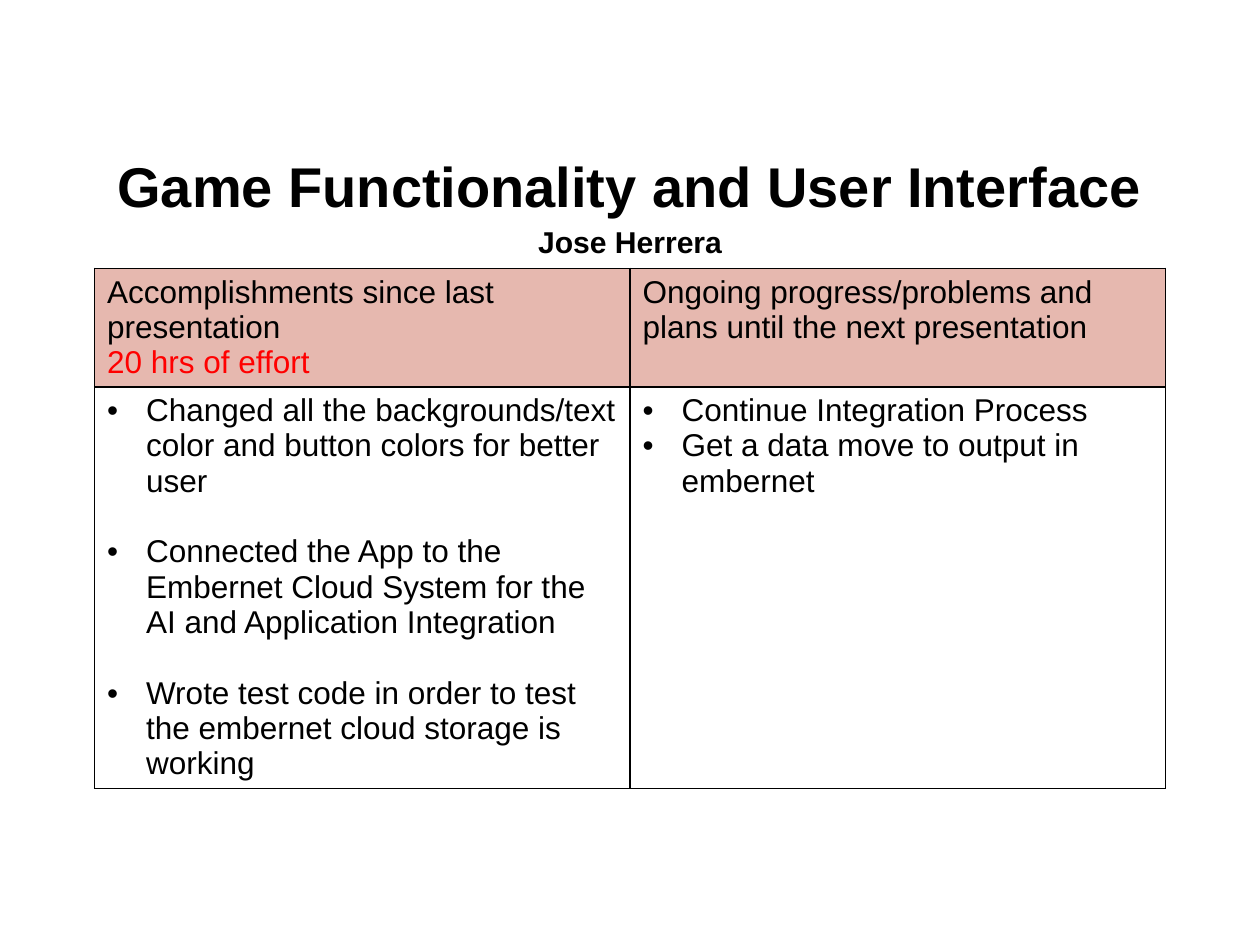
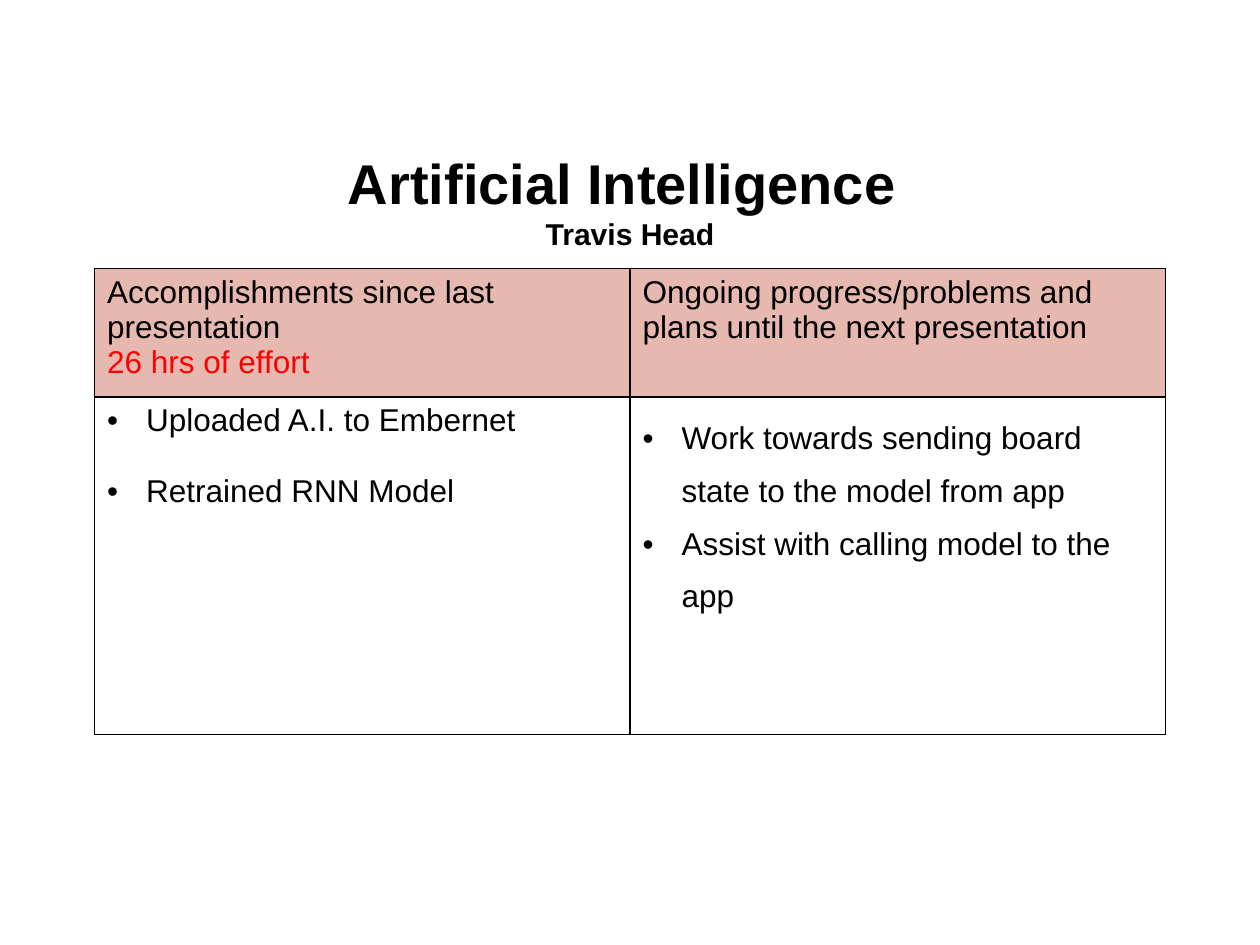
"""Build two progress report slides, each with a two-column status table."""
from lxml.etree import SubElement
from pptx import Presentation
from pptx.dml.color import RGBColor
from pptx.enum.text import MSO_ANCHOR as Anchor, MSO_AUTO_SIZE as AutoSize, PP_ALIGN as Align
from pptx.oxml.ns import qn
from pptx.util import Inches, Pt

COLORS = {"ink": "000000", "effort": "FF0000", "header": "E6B8AF"}
FONT = "Arial"
BODY_SIZE = 18
BLANK_LINE = 20.2
INDENT = Inches(0.31)

REPORTS = [
    {
        "topic": "Game Functionality and User Interface",
        "member": "Jose Herrera",
        "title_spacing": 1.15,
        "hours": 20,
        "row_heights": [0.94, 3.19],
        "done": [
            "Changed all the backgrounds/text color and button colors for better user",
            "Connected the App to the Embernet Cloud System for the AI and Application Integration",
            "Wrote test code in order to test the embernet cloud storage is working",
        ],
        "plans": ["Continue Integration Process", "Get a data move to output in embernet"],
        "plan_spacing": 1.0,
    },
    {
        "topic": "Artificial Intelligence ",
        "member": "Travis Head",
        "title_spacing": 1.0,
        "hours": 26,
        "row_heights": [1.02, 2.68],
        "done": ["Uploaded A.I. to Embernet", "Retrained RNN Model"],
        "plans": [
            "Work towards sending board state to the model from app",
            "Assist with calling model to the app",
        ],
        "plan_spacing": 1.5,
    },
]


def add_line(frame, index, text, size=BODY_SIZE, color="ink", bold=False):
    para = frame.add_paragraph() if index else frame.paragraphs[0]
    span = para.add_run()
    span.text = text
    span.font.name = FONT
    span.font.size = Pt(size)
    span.font.bold = bold
    span.font.color.rgb = RGBColor.from_string(COLORS[color])
    return para


def add_bullets(frame, items, gap, spacing):
    for index, item in enumerate(items):
        para = add_line(frame, index, item)
        para.line_spacing = spacing
        para.space_before = Pt(gap if index else 0)
        props = para._p.get_or_add_pPr()
        props.set("marL", str(INDENT))
        props.set("indent", str(-INDENT))
        SubElement(props, qn("a:buFont"), typeface=FONT)
        SubElement(props, qn("a:buChar"), char="•")


deck = Presentation()
deck.slide_width = Inches(10)
deck.slide_height = Inches(7.5)

for report in REPORTS:
    page = deck.slides.add_slide(deck.slide_layouts[5])

    title = page.shapes.title
    title.left, title.top = Inches(0.5), Inches(1.15)
    title.width, title.height = Inches(9), Inches(0.88)
    heading = title.text_frame
    heading.auto_size = AutoSize.NONE
    heading.vertical_anchor = Anchor.MIDDLE
    for index, (text, size) in enumerate([(report["topic"], 32), (report["member"], 17.2)]):
        para = add_line(heading, index, text, size, bold=True)
        para.alignment = Align.CENTER
        para.line_spacing = report["title_spacing"]

    heights = report["row_heights"]
    table = page.shapes.add_table(
        2, 2, Inches(0.75), Inches(2.13), Inches(8.5), Inches(sum(heights))
    ).table
    table.first_row = False
    table.horz_banding = False
    for row, height in zip(table.rows, heights):
        row.height = Inches(height)

    for cell in table.iter_cells():
        cell.margin_left = cell.margin_right = Inches(0.1)
        cell.margin_top = cell.margin_bottom = Inches(0.05)
        for side in ("L", "R", "T", "B"):
            border = SubElement(cell._tc.get_or_add_tcPr(), qn(f"a:ln{side}"), w=str(Pt(1)))
            fill = SubElement(border, qn("a:solidFill"))
            SubElement(fill, qn("a:srgbClr"), val=COLORS["ink"])

    for column in range(2):
        header = table.cell(0, column)
        header.fill.solid()
        header.fill.fore_color.rgb = RGBColor.from_string(COLORS["header"])
        table.cell(1, column).fill.background()

    done_header = table.cell(0, 0).text_frame
    add_line(done_header, 0, "Accomplishments since last presentation")
    add_line(done_header, 1, f"{report['hours']} hrs of effort", color="effort")
    plans_header = table.cell(0, 1).text_frame
    add_line(plans_header, 0, "Ongoing progress/problems and plans until the next presentation")
    add_bullets(table.cell(1, 0).text_frame, report["done"], BLANK_LINE, 1.0)
    add_bullets(table.cell(1, 1).text_frame, report["plans"], 0, report["plan_spacing"])

deck.save("out.pptx")
